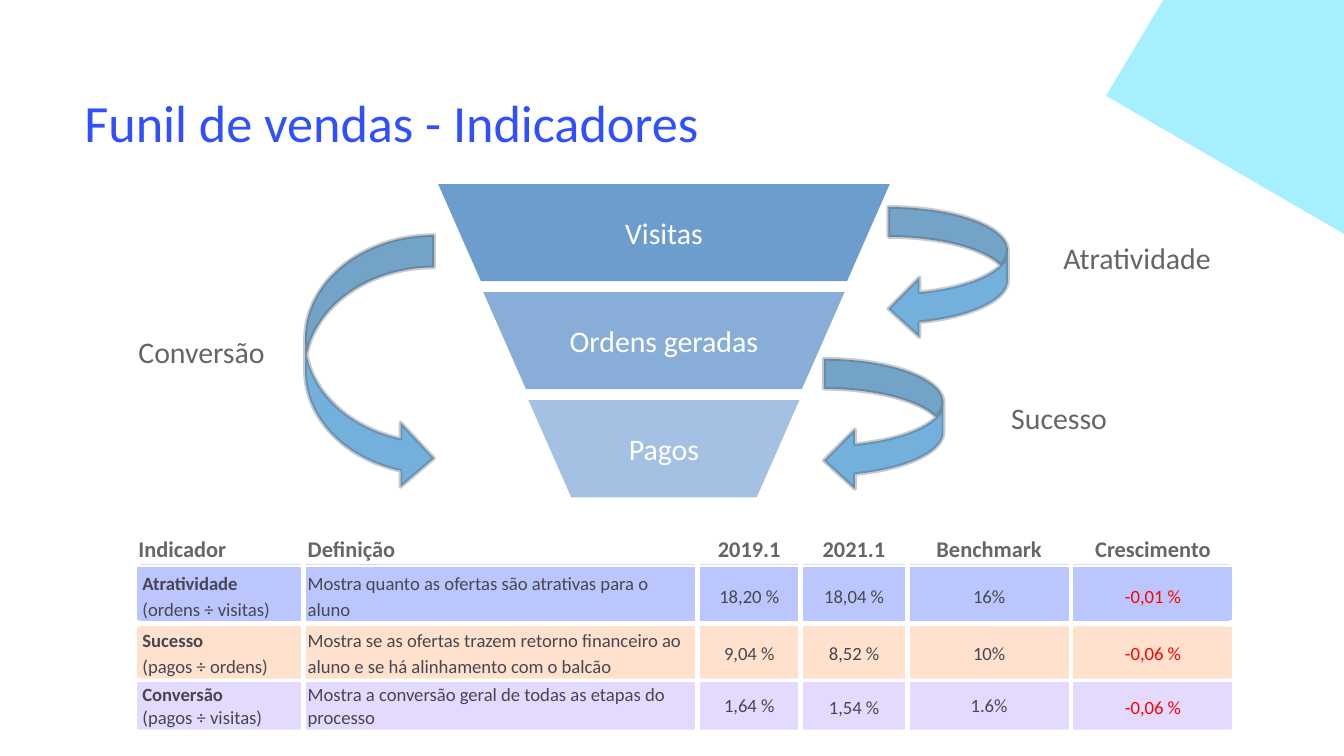
from lxml.etree import SubElement
from pptx import Presentation
from pptx.dml.color import RGBColor
from pptx.enum.shapes import MSO_SHAPE
from pptx.enum.text import MSO_ANCHOR, PP_ALIGN
from pptx.oxml.ns import qn
from pptx.util import Inches, Pt

COLS, ROWS = 100, 56.25
UNIT = Inches(0.1)
FONT = "Calibri"
C = {
    "title": "304FFE", "corner": "A5EFFF", "white": "FFFFFF",
    "label": "656666", "body": "464751", "negative": "FF0000",
    "visits": "6D9DCD", "orders": "88AED8", "paid": "A4C0E3",
    "arrow": "0070C0", "attract": "304FFE", "success": "FFA366", "convert": "AC8BFF",
}
TIERS = [("Visitas", 1, 8.5, "visits"), ("Ordens geradas", 0.8, 17.9, "orders"),
         ("Pagos", 0.6, 8.1, "paid")]
HEADER = ["Indicador", "Definição", "2019.1", "2021.1", "Benchmark", "Crescimento"]
INDICATORS = [
    ["Atratividade\n(ordens ÷ visitas)", "Mostra quanto as ofertas são atrativas para o aluno",
     "18,20 %", "18,04 %", "16%", "-0,01 %"],
    ["Sucesso\n(pagos ÷ ordens)",
     "Mostra se as ofertas trazem retorno financeiro ao aluno e se há alinhamento com o balcão",
     "9,04 %", "8,52 %", "10%", "-0,06 %"],
    ["Conversão\n(pagos ÷ visitas)", "Mostra a conversão geral de todas as etapas do processo",
     "1,64 %", "1,54 %", "1.6%", "-0,06 %"],
]
BANDS = [(2.6, 4.2, "attract"), (7.2, 3.9, "success"), (11.3, 3.6, "convert")]


def grid(*cells):
    """Turn grid units into lengths."""
    return [int(n * UNIT) for n in cells]


def paint(fill, color, alpha=100):
    """Fill with a solid colour at the given opacity in percent."""
    fill.solid()
    fill.fore_color.rgb = RGBColor.from_string(C[color])
    if alpha < 100:
        clr = fill._xPr.find(qn("a:solidFill"))[0]
        SubElement(clr, qn("a:alpha")).set("val", str(alpha * 1000))


def style(p, size, color, bold=False, align=PP_ALIGN.LEFT):
    """Format the runs of a paragraph."""
    p.alignment = align
    for r in p.runs:
        r.font.name, r.font.size, r.font.bold = FONT, Pt(size), bold
        r.font.color.rgb = RGBColor.from_string(C[color])


def add_text(s, box, text, size, color, align=PP_ALIGN.CENTER, wrap=True):
    """Add a vertically centred text box."""
    tf = s.shapes.add_textbox(*grid(*box)).text_frame
    tf.word_wrap, tf.vertical_anchor = wrap, MSO_ANCHOR.MIDDLE
    tf.text = text
    style(tf.paragraphs[0], size, color, align=align)


def add_shape(s, kind, box, color, adjustments, alpha=100):
    """Add a preset shape without outline or shadow."""
    sp = s.shapes.add_shape(kind, *grid(*box))
    sp.shadow.inherit = False
    for i, value in enumerate(adjustments):
        sp.adjustments[i] = value
    paint(sp.fill, color, alpha)
    sp.line.fill.background()
    return sp


def add_corner(s, box):
    """Draw the tilted block cut off by the top right corner."""
    x, y, w, h = box
    points = [(x + 0.24 * w, y), (x + w, y), (x + w, y + h), (x, y + 0.41 * h)]
    fb = s.shapes.build_freeform(*grid(*points[0]), scale=1.0)
    fb.add_line_segments([grid(*pt) for pt in points[1:]], close=True)
    sp = fb.convert_to_shape()
    sp.shadow.inherit = False
    paint(sp.fill, "corner")
    sp.line.fill.background()


def add_funnel(s, box):
    """Stack the funnel tiers, each narrower than the one above."""
    x, y, w, h = box
    tier_h = 0.31 * h
    step = (h - tier_h) / (len(TIERS) - 1)
    for i, (name, share, text_w, color) in enumerate(TIERS):
        tier_w, top = w * share, y + i * step
        sp = add_shape(s, MSO_SHAPE.TRAPEZOID,
                       (x + (w - tier_w) / 2, top, tier_w, tier_h), color, [0.44])
        sp.rotation = 180
        add_text(s, (x + (w - text_w) / 2, top + (tier_h - 3.7) / 2, text_w, 3.7),
                 name, 16, "white", wrap=False)


def add_step(s, box, name, label_box, flip):
    """Draw a curved arrow and its label, placed from the arrow's corner."""
    sp = add_shape(s, MSO_SHAPE.CURVED_RIGHT_ARROW, box, "arrow", [0.25, 0.5, 0.26], 55)
    paint(sp.line.fill, "body", 28)
    sp.line.width = Pt(2)
    if flip:
        sp._element.spPr.find(qn("a:xfrm")).set("flipH", "1")
    dx, dy, w, h = label_box
    add_text(s, (box[0] + dx, box[1] + dy, w, h), name, 16, "label")


def fill_cell(cell, text, row, col):
    """Write one table cell with clear fill and white side borders."""
    cell.margin_left = Inches(0.06 if row and not col else 0.03)
    cell.margin_right = Inches(0.03)
    cell.margin_top = cell.margin_bottom = Inches(0.02)
    cell.vertical_anchor = MSO_ANCHOR.MIDDLE
    cell.text_frame.text = text
    color = "label" if not row else "negative" if col == len(HEADER) - 1 else "body"
    loose = row < len(INDICATORS) or col in (3, 5)
    for i, p in enumerate(cell.text_frame.paragraphs):
        style(p, 10 if row else 12, color, not row or (col == 0 and i == 0),
              PP_ALIGN.CENTER if col > 1 else PP_ALIGN.LEFT)
        p.line_spacing = 1.15 if loose else 1.0
    tc_pr = cell._tc.get_or_add_tcPr()
    for side in ("a:lnL", "a:lnR"):
        ln = SubElement(tc_pr, qn(side), w=str(Pt(3)))
        SubElement(SubElement(ln, qn("a:solidFill")), qn("a:srgbClr"), val=C["white"])
    cell.fill.background()


def add_indicators(s, box):
    """Lay the indicator table over its rounded colour bands."""
    x, y, w, h = box
    for dy, band_h, color in BANDS:
        add_shape(s, MSO_SHAPE.ROUNDED_RECTANGLE, (x, y + dy, w, band_h), color, [0.125], 32)
    rows = [HEADER] + INDICATORS
    table = s.shapes.add_table(len(rows), len(HEADER), *grid(x, y, w, h)).table
    table.first_row = table.horz_banding = False
    for column, share in zip(table.columns, (12.6, 29.3, 7.7, 7.9, 12.2, 12.2)):
        column.width = grid(share * w / 81.9)[0]
    for i, values in enumerate(rows):
        table.rows[i].height = grid(h / len(rows))[0]
        for j, text in enumerate(values):
            fill_cell(table.cell(i, j), text, i, j)


def build():
    """Build and save the sales funnel slide."""
    prs = Presentation()
    prs.slide_width, prs.slide_height = grid(COLS, ROWS)
    s = prs.slides.add_slide(prs.slide_layouts[6])
    add_corner(s, (82.3, 0, 17.7, 17.4))
    add_indicators(s, (10, 39.4, 81.9, 10))
    add_text(s, (5.3, 5.5, 79.3, 7.1), "Funil de vendas - Indicadores", 28, "title",
             PP_ALIGN.LEFT)
    add_funnel(s, (32.6, 13.7, 33.6, 23.3))
    add_step(s, (22.7, 17.5, 9.6, 19), "Conversão", (-14.5, 5.9, 13.6, 5.5), False)
    add_step(s, (66.1, 15.4, 8.9, 9.8), "Atratividade", (11.1, 1, 14.8, 5.5), True)
    add_step(s, (61.3, 26.7, 8.9, 9.8), "Sucesso", (10.1, 1.6, 14.8, 5.5), True)
    prs.save("out.pptx")


build()
